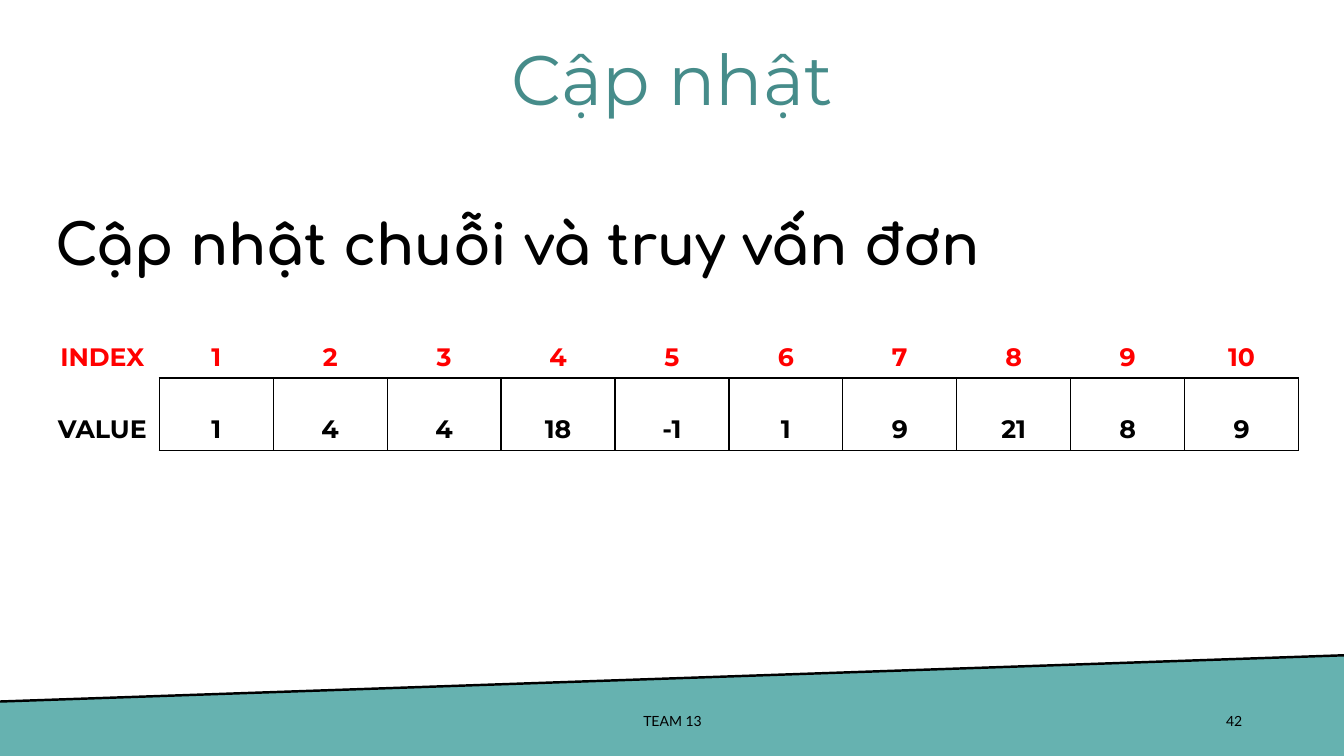
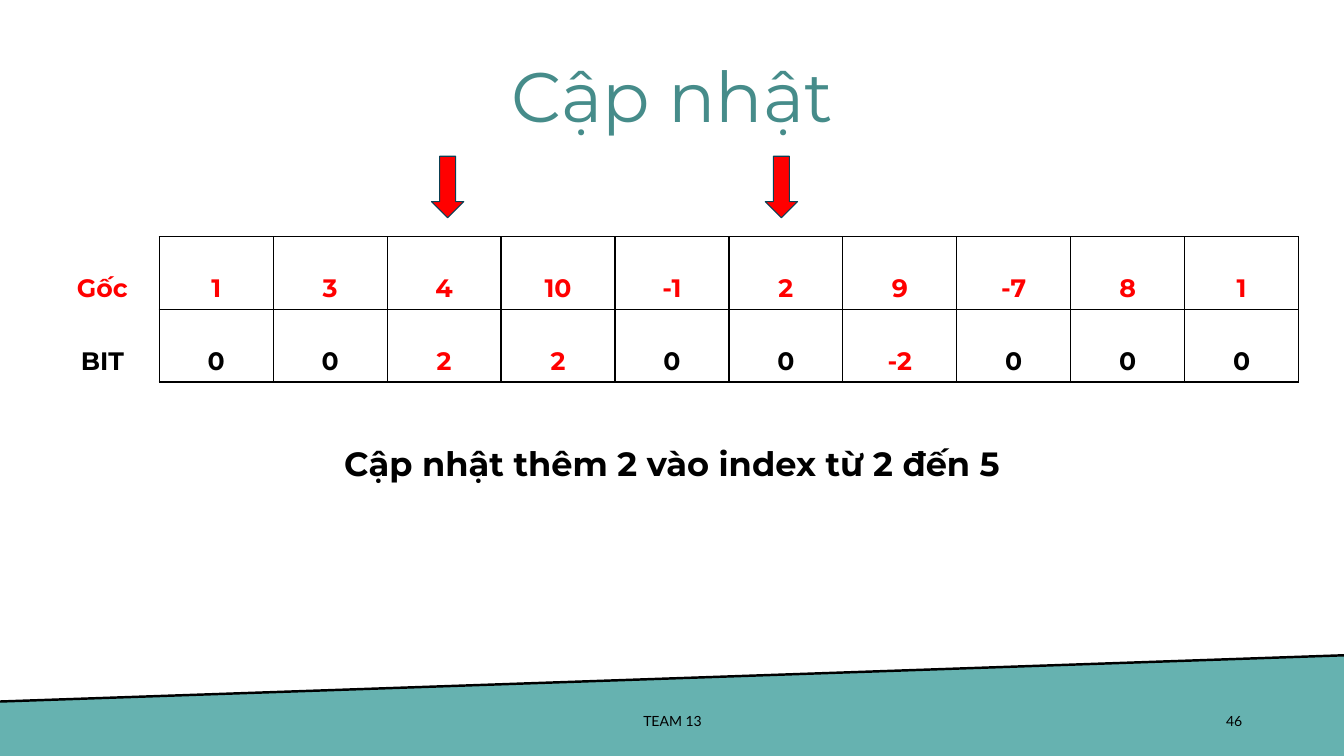
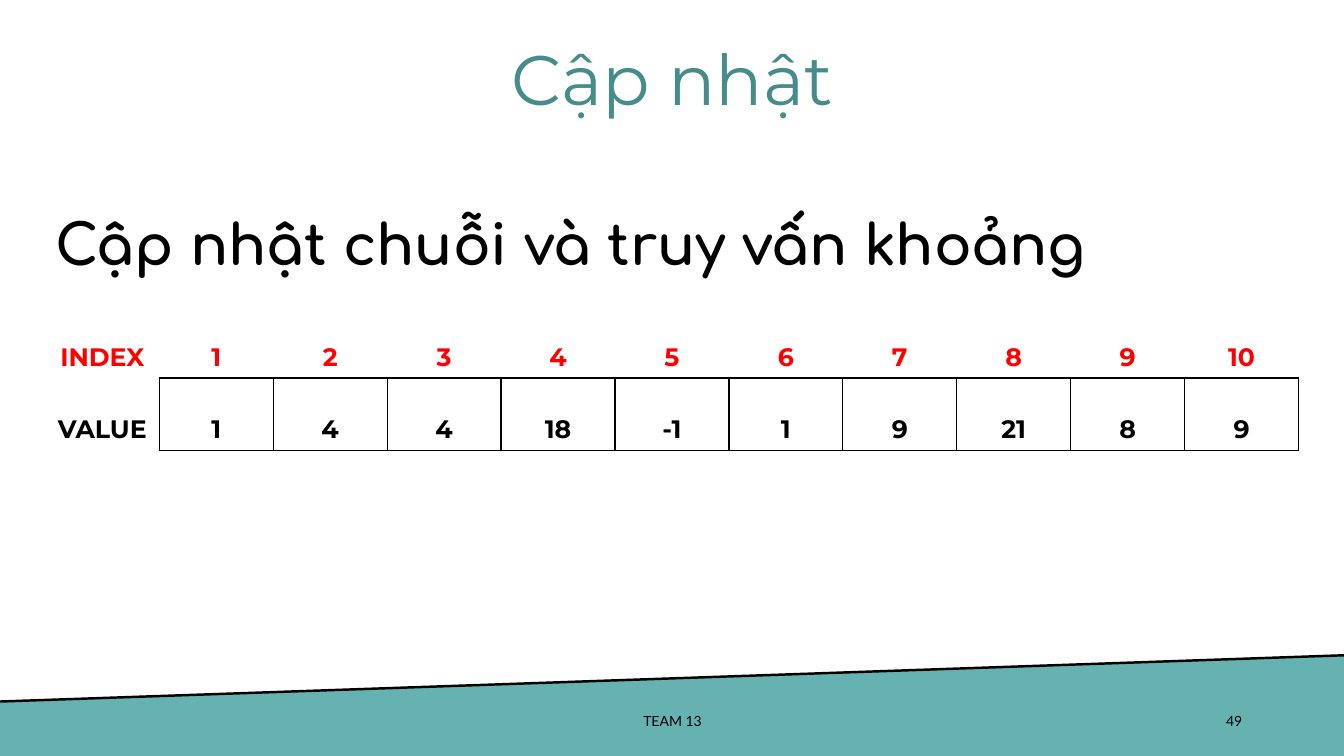
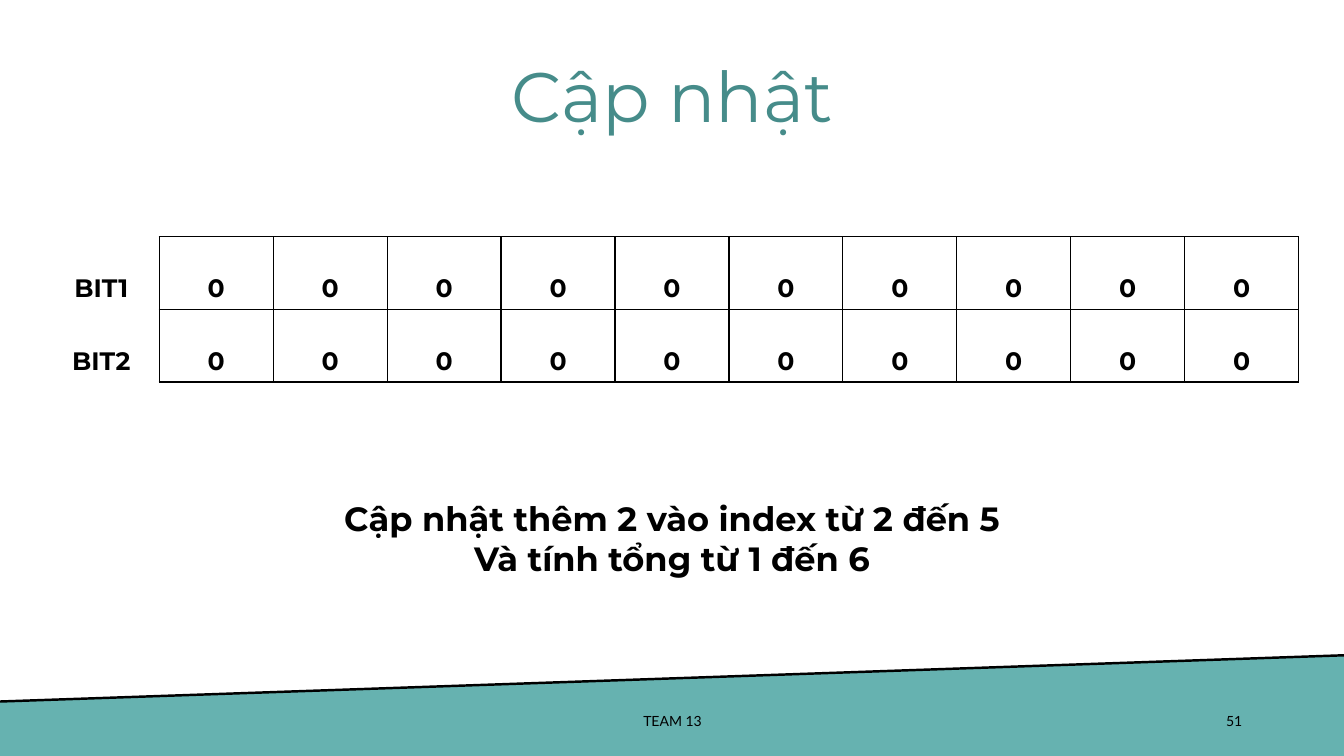
import pptx
import pptx.dml.color
import pptx.enum.shapes
import pptx.enum.text
import pptx.util
from pptx.oxml.ns import qn
from lxml import etree

ALIGN = pptx.enum.text.PP_ALIGN
ANCHOR = pptx.enum.text.MSO_ANCHOR

PX = 9144  # EMU in one px, 100 px to the inch
WIDE, HIGH = 1333, 750
BLACK, RED, TEAL, GREEN, NAVY = "000000", "FF0000", "66B2B0", "468C8A", "0A4054"
HEAD, BODY, FOOT = "Montserrat", "Comfortaa", "Lato"
GRID, CELL, ROW = 158, 113, 72  # left of first value column, column width, row height
BAND = [(-1, 696), (1335, 650), (1335, 750), (0, 753)]
TITLE, TEAM = "Cập nhật", "TEAM 13"
STEP = "Cập nhật thêm 2 vào index từ 2 đến 5"

# A row: label, values, red columns (0 is the label), boxed values
ALL = range(11)
SERIES = [
    ("INDEX", range(1, 11), ALL, False),
    ("VALUE", [1, 4, 4, 18, -1, 1, 9, 21, 8, 9], (), True),
]
ADDED = [
    ("Gốc", [1, 3, 4, 10, -1, 2, 9, -7, 8, 1], ALL, True),
    ("BIT", [0, 0, 2, 2, 0, 0, -2, 0, 0, 0], (3, 4, 7), True),
]
EMPTY = [(label, [0] * 10, (), True) for label in ("BIT1", "BIT2")]

SLIDES = [
    dict(page=42, top=31, rows=SERIES, at=(45, 303),
         topic="Cập nhật chuỗi và truy vấn đơn"),
    dict(page=46, top=48, rows=ADDED, at=(45, 235),
         note=[STEP], below=429, arrows=(428, 759)),
    dict(page=49, top=31, rows=SERIES, at=(45, 303),
         topic="Cập nhật chuỗi và truy vấn khoảng"),
    dict(page=51, top=48, rows=EMPTY, at=(43, 235),
         note=[STEP, "Và tính tổng từ 1 đến 6"], below=503),
]


def px(*vals):
    return [pptx.util.Emu(val * PX) for val in vals]


def rgb(code):
    return pptx.dml.color.RGBColor.from_string(code)


def style(para, size, face, color=BLACK, bold=False, align=ALIGN.CENTER, space=None):
    para.alignment = align
    para.line_spacing = space
    font = para.font
    font.size, font.name, font.bold = pptx.util.Pt(size), face, bold
    font.color.rgb = rgb(color)


def write(slide, box, lines, *look, anchor=ANCHOR.MIDDLE, **more):
    """Add a text box with one paragraph for each line."""
    frame = slide.shapes.add_textbox(*px(*box)).text_frame
    frame.word_wrap = True
    frame.vertical_anchor = anchor
    frame.text = "\n".join(lines)
    for para in frame.paragraphs:
        style(para, *look, **more)


def border(cell, sides):
    """Draw the named sides (of L, R, T, B) and clear the others."""
    props = cell._tc.get_or_add_tcPr()
    for spot, side in enumerate("LRTB"):
        line = etree.Element(qn("a:ln" + side), w="12700")
        if side in sides:
            fill = etree.SubElement(line, qn("a:solidFill"))
            etree.SubElement(fill, qn("a:srgbClr"), val=BLACK)
        else:
            etree.SubElement(line, qn("a:noFill"))
        props.insert(spot, line)


def grid(slide, rows, left, top):
    first = GRID - left
    count = len(rows[0][1]) + 1
    size = px(left, top, first + CELL * (count - 1), ROW * len(rows))
    table = slide.shapes.add_table(len(rows), count, *size).table
    table.first_row = table.horz_banding = False
    for col, part in enumerate(table.columns):
        part.width = px(CELL if col else first)[0]
    for row, (label, vals, reds, boxed) in enumerate(rows):
        table.rows[row].height = px(ROW)[0]
        for col, val in enumerate([label, *vals]):
            cell = table.cell(row, col)
            cell.text = str(val)
            cell.vertical_anchor = ANCHOR.MIDDLE
            cell.fill.background()
            inner = boxed and col > 0
            side, edge = px(7, 0) if inner else px(10, 5)
            cell.margin_left = cell.margin_right = side
            cell.margin_top = cell.margin_bottom = edge
            style(cell.text_frame.paragraphs[0], 18, HEAD,
                  RED if col in reds else BLACK, True, space=2.0)
            border(cell, "LRTB" if inner else "R" if boxed else "B" if col else "")


def frame(slide, page, top):
    """Add the band, footer, page number and title."""
    start, *rest = [px(*spot) for spot in BAND]
    path = slide.shapes.build_freeform(*start)
    path.add_line_segments(rest)
    band = path.convert_to_shape()
    band.shadow.inherit = False
    band.fill.solid()
    band.fill.fore_color.rgb = rgb(TEAL)
    band.line.fill.background()

    kind = pptx.enum.shapes.MSO_CONNECTOR.STRAIGHT
    edge = slide.shapes.add_connector(kind, *px(*BAND[1], *BAND[0]))
    edge.line.color.rgb = rgb(BLACK)
    edge.line.width = pptx.util.Pt(1.75)
    etree.SubElement(edge._element.spPr, qn("a:effectLst"))

    write(slide, (942, 695, 300, 40), [str(page)], 10, FOOT, align=ALIGN.RIGHT)
    write(slide, (442, 695, 450, 40), [TEAM], 10, FOOT)
    write(slide, (190, top, 954, 103), [TITLE], 50, HEAD, GREEN, space=0.9)


def arrow(slide, left):
    kind = pptx.enum.shapes.MSO_SHAPE.DOWN_ARROW
    shape = slide.shapes.add_shape(kind, *px(left, 155, 32, 61))
    shape.shadow.inherit = False
    shape.fill.solid()
    shape.fill.fore_color.rgb = rgb(RED)
    shape.line.color.rgb = rgb(NAVY)
    shape.line.width = pptx.util.Pt(0.75)


def main():
    deck = pptx.Presentation()
    deck.slide_width, deck.slide_height = px(WIDE, HIGH)
    for data in SLIDES:
        slide = deck.slides.add_slide(deck.slide_layouts[6])
        frame(slide, data["page"], data["top"])
        if "topic" in data:
            write(slide, (45, 170, 1071, 72), [data["topic"]], 40, BODY, BLACK, True,
                  anchor=ANCHOR.TOP, align=ALIGN.LEFT, space=1.5)
        grid(slide, data["rows"], *data["at"])
        if "note" in data:
            write(slide, (202, data["below"], 929, 61), data["note"],
                  24, HEAD, BLACK, True)
        for left in data.get("arrows", ()):
            arrow(slide, left)
    deck.save("out.pptx")


if __name__ == "__main__":
    main()
